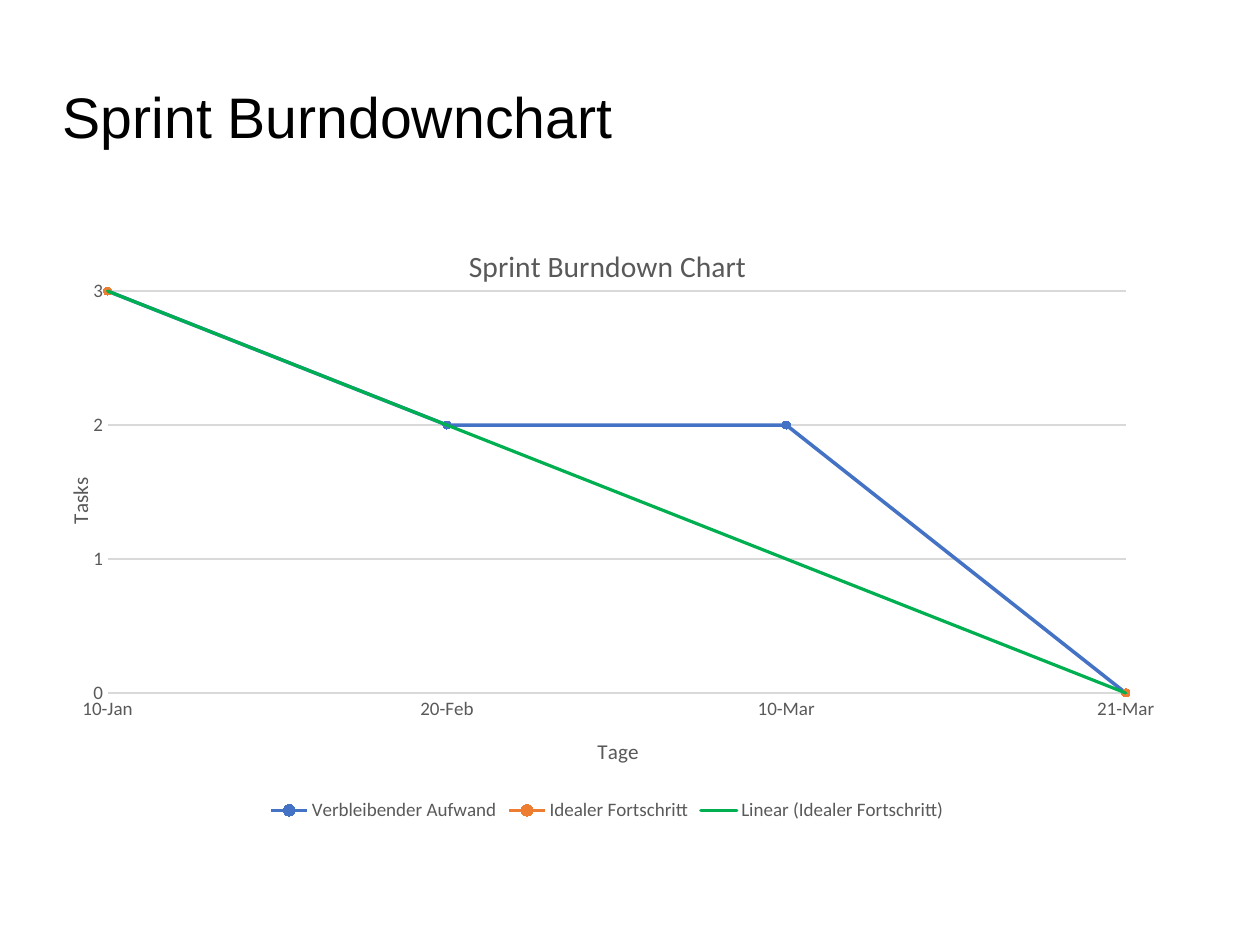
from pptx import Presentation
from pptx.chart.data import CategoryChartData
from pptx.dml.color import RGBColor
from pptx.enum.chart import XL_CHART_TYPE, XL_LEGEND_POSITION, XL_MARKER_STYLE, XL_TICK_MARK
from pptx.enum.text import MSO_ANCHOR
from pptx.oxml import parse_xml
from pptx.oxml.ns import nsdecls, qn
from pptx.util import Inches, Pt

COLORS = {
    "title": "000000", "text": "595959", "grid": "D9D9D9",
    "actual": "4472C4", "ideal": "ED7D31", "trend": "00B050",
}


def style(font, size, color="text", name="Calibri"):
    font.size, font.name, font.bold = Pt(size), name, False
    font.color.rgb = RGBColor.from_string(COLORS[color])


def place(parent, **percents):
    """Position a chart part by percentages of the chart's size."""
    for old in parent.findall(qn("c:layout")):
        parent.remove(old)
    target = '<c:layoutTarget val="inner"/>' if "w" in percents else ""
    modes = "".join(f'<c:{k}Mode val="edge"/>' for k in "xy")
    values = "".join(f'<c:{k} val="{v / 100:.4f}"/>' for k, v in percents.items())
    layout = parse_xml(f'<c:layout {nsdecls("c")}><c:manualLayout>'
                       f'{target}{modes}{values}</c:manualLayout></c:layout>')
    overlay = parent.find(qn("c:overlay"))
    if overlay is None:
        parent.insert(0, layout)
    else:
        overlay.addprevious(layout)


prs = Presentation()
prs.slide_width, prs.slide_height = Pt(793.75), Pt(595.25)
s = prs.slides.add_slide(prs.slide_layouts[6])

# Slide title
sp = s.shapes.add_textbox(Inches(0.55), Inches(0.62), Inches(7.87), Inches(0.79))
tf = sp.text_frame
tf.word_wrap = True
tf.vertical_anchor = MSO_ANCHOR.MIDDLE
tf.margin_left = tf.margin_right = tf.margin_top = tf.margin_bottom = 0
r = tf.paragraphs[0].add_run()
r.text = "Sprint Burndownchart"
style(r.font, 36, "title", "Arial")

# Burndown chart
data = CategoryChartData()
data.categories = ["10-Jan", "20-Feb", "10-Mar", "21-Mar"]
data.add_series("Verbleibender Aufwand", [3, 2, 2, 0])
data.add_series("Idealer Fortschritt", [3, None, None, 0])
chart = s.shapes.add_chart(XL_CHART_TYPE.LINE_MARKERS, Inches(0.53), Inches(1.94),
                           Inches(9.57), Inches(5.3), data).chart
style(chart.font, 10, "title", "Arial")
plot = chart.plots[0]
plot.vary_by_categories = False
for series, color in zip(plot.series, ("actual", "ideal")):
    rgb = RGBColor.from_string(COLORS[color])
    series.smooth = False
    series.format.line.width = Pt(2.25)
    series.format.line.color.rgb = rgb
    series.marker.style = XL_MARKER_STYLE.CIRCLE
    series.marker.size = 5
    for part in (series.marker.format.fill, series.marker.format.line.fill):
        part.solid()
        part.fore_color.rgb = rgb

# Linear trend of the ideal progress
trend = parse_xml(
    f'<c:trendline {nsdecls("c", "a")}><c:name>Linear (Idealer Fortschritt)</c:name>'
    f'<c:spPr><a:ln w="{Pt(2)}" cap="rnd"><a:solidFill><a:srgbClr val="{COLORS["trend"]}"/>'
    '</a:solidFill></a:ln></c:spPr><c:trendlineType val="linear"/>'
    '<c:dispRSqr val="0"/><c:dispEq val="0"/></c:trendline>')
plot.series[1]._element.find(qn("c:cat")).addprevious(trend)

# Axes
days, tasks = chart.category_axis, chart.value_axis
for axis in (days, tasks):
    axis.major_tick_mark = axis.minor_tick_mark = XL_TICK_MARK.NONE
    style(axis.tick_labels.font, 12)
tasks.has_major_gridlines = True
for rule in (days, tasks.major_gridlines):
    rule.format.line.width = Pt(0.75)
    rule.format.line.color.rgb = RGBColor.from_string(COLORS["grid"])
tasks.format.line.fill.background()
tasks.minimum_scale, tasks.maximum_scale, tasks.major_unit = 0, 3, 1
tasks.tick_labels.number_format = "General"
tasks.tick_labels.number_format_is_linked = False

# Lines start on the value axis
for old in tasks._element.findall(qn("c:crossBetween")):
    tasks._element.remove(old)
tasks._element.find(qn("c:crosses")).addnext(
    parse_xml(f'<c:crossBetween {nsdecls("c")} val="midCat"/>'))

# Chart and axis titles
for owner, text, size, x, y in ((chart, "Sprint Burndown Chart", 18.6, 36.85, 3),
                                (days, "Tage", 13.3, 48.75, 84.35),
                                (tasks, "Tasks", 13.3, 0.1, 41.5)):
    owner.has_title = True
    title = owner.chart_title if owner is chart else owner.axis_title
    r = title.text_frame.paragraphs[0].add_run()
    r.text = text
    style(r.font, size)
    place(title._element, x=x, y=y)
    if owner is tasks:
        body = title._element.find(".//" + qn("a:bodyPr"))
        body.set("rot", "-5400000")
        body.set("vert", "horz")

# Legend and plot area
chart.has_legend = True
chart.legend.position = XL_LEGEND_POSITION.BOTTOM
chart.legend.include_in_layout = False
style(chart.legend.font, 12)
place(chart.legend._element, x=18.7, y=95.3)
place(chart._chartSpace.find(".//" + qn("c:plotArea")), x=4.3, y=11.45, w=93.1, h=66.35)

prs.save("out.pptx")
